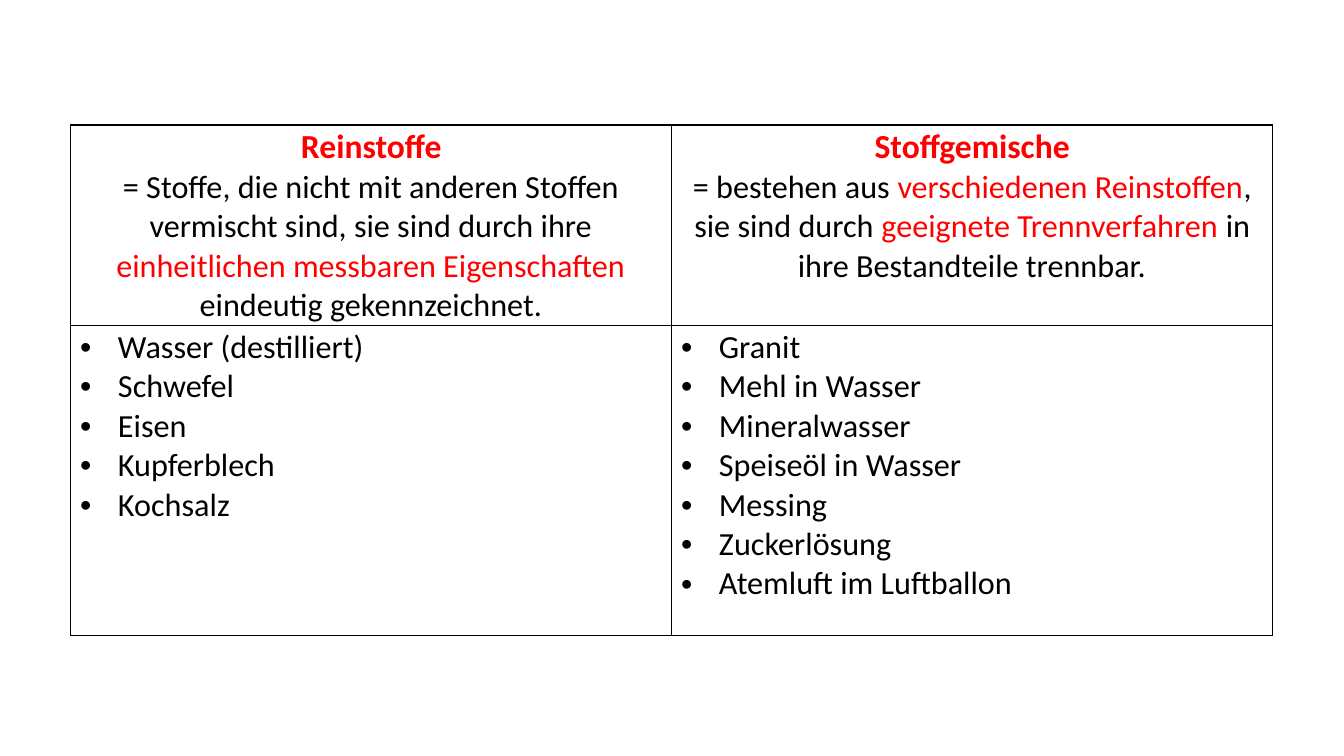
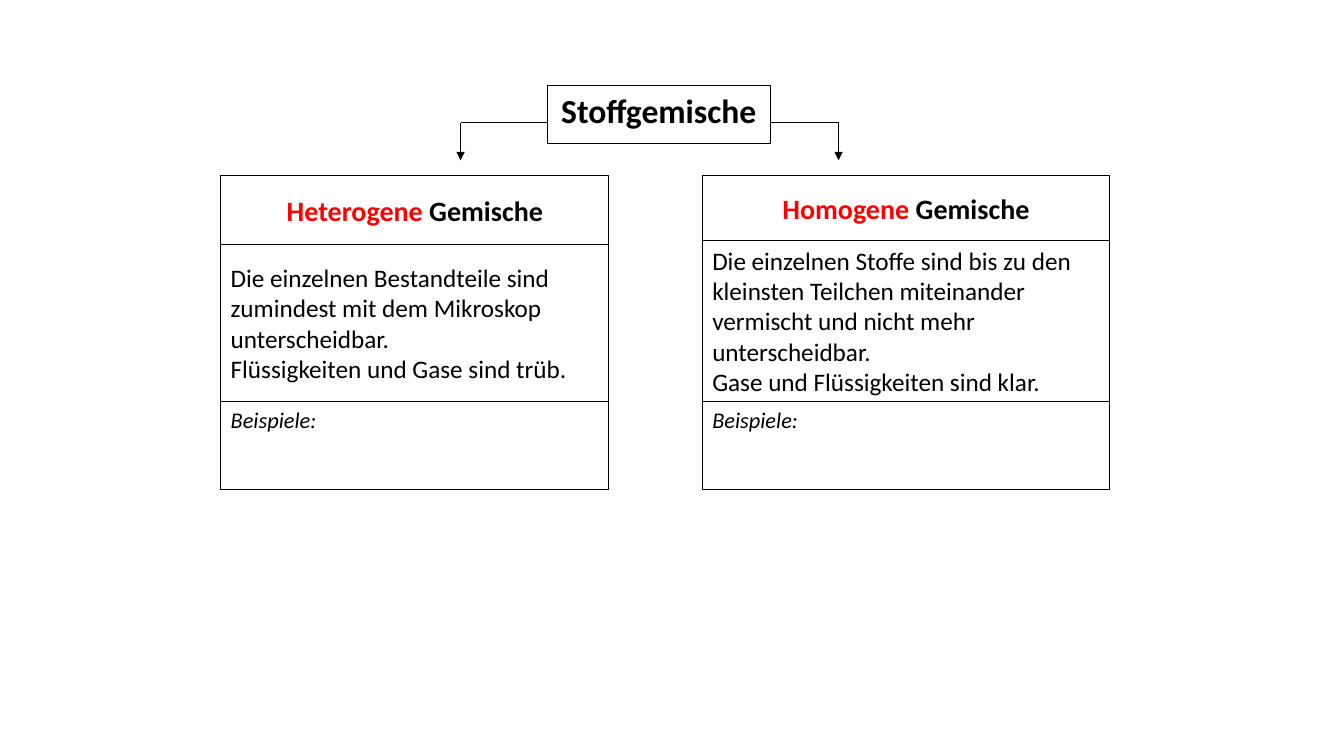
from dataclasses import dataclass

from lxml.etree import SubElement
from pptx import Presentation
from pptx.dml.color import RGBColor
from pptx.enum.shapes import MSO_CONNECTOR, MSO_SHAPE
from pptx.enum.text import MSO_ANCHOR, PP_ALIGN
from pptx.oxml.ns import qn
from pptx.util import Pt


@dataclass(frozen=True)
class Theme:
    font: str = "Calibri"
    ink: RGBColor = RGBColor(0, 0, 0)
    accent: RGBColor = RGBColor(255, 0, 0)
    paper: RGBColor = RGBColor(255, 255, 255)
    title: float = 24
    table_text: float = 23
    heading: float = 20
    body: float = 18
    label: float = 16
    line: float = 0.75
    border: float = 1


THEME = Theme()


def write(para, text, size, bold=False, italic=False, color=THEME.ink, align=PP_ALIGN.LEFT):
    """Fill a paragraph; parts between asterisks take the accent colour."""
    para.alignment = align
    for index, part in enumerate(text.split("*")):
        if part:
            span = para.add_run()
            span.text = part
            span.font.name = THEME.font
            span.font.size = Pt(size)
            span.font.bold = bold
            span.font.italic = italic
            span.font.color.rgb = THEME.accent if index % 2 else color


def add_bullet(para, indent=27):
    properties = para._p.get_or_add_pPr()
    properties.set("marL", str(Pt(indent)))
    properties.set("indent", str(-Pt(indent)))
    SubElement(properties, qn("a:buFont"), typeface="Arial")
    SubElement(properties, qn("a:buChar"), char="•")


def paragraphs(frame, count):
    return [frame.paragraphs[0]] + [frame.add_paragraph() for _ in range(count - 1)]


class Deck:
    def __init__(self, width, height):
        self.file = Presentation()
        self.file.slide_width, self.file.slide_height = Pt(width), Pt(height)
        self.page = None

    def new_page(self):
        self.page = self.file.slides.add_slide(self.file.slide_layouts[6])

    def table(self, left, top, column_widths, row_heights):
        frame = self.page.shapes.add_table(
            len(row_heights), len(column_widths), Pt(left), Pt(top),
            Pt(sum(column_widths)), Pt(sum(row_heights)))
        table = frame.table
        table.first_row = table.horz_banding = False
        for column, width in zip(table.columns, column_widths):
            column.width = Pt(width)
        for row, height in zip(table.rows, row_heights):
            row.height = Pt(height)
        for cell in table.iter_cells():
            self.style_cell(cell)
        return table

    def style_cell(self, cell):
        cell.margin_left = cell.margin_right = Pt(6.75)
        cell.margin_top, cell.margin_bottom = Pt(1.2), Pt(0)
        properties = cell._tc.get_or_add_tcPr()
        for side in ("lnL", "lnR", "lnT", "lnB"):
            border = SubElement(properties, qn(f"a:{side}"), w=str(Pt(THEME.border)))
            fill = SubElement(border, qn("a:solidFill"))
            SubElement(fill, qn("a:srgbClr"), val=str(THEME.ink))
        cell.fill.solid()
        cell.fill.fore_color.rgb = THEME.paper

    def box(self, left, top, width, height, lines, anchor=MSO_ANCHOR.TOP, **text_format):
        box = self.page.shapes.add_shape(
            MSO_SHAPE.RECTANGLE, Pt(left), Pt(top), Pt(width), Pt(height))
        box.shadow.inherit = False
        box.fill.solid()
        box.fill.fore_color.rgb = THEME.paper
        box.line.color.rgb = THEME.ink
        box.line.width = Pt(THEME.line)
        frame = box.text_frame
        frame.word_wrap = True
        frame.vertical_anchor = anchor
        for para, text in zip(paragraphs(frame, len(lines)), lines):
            write(para, text, **text_format)

    def line(self, start, end, arrow=False):
        line = self.page.shapes.add_connector(
            MSO_CONNECTOR.STRAIGHT, *(Pt(value) for value in (*start, *end)))
        line.line.color.rgb = THEME.ink
        line.line.width = Pt(THEME.line)
        if arrow:
            SubElement(line.line._get_or_add_ln(), qn("a:tailEnd"), type="triangle")
        SubElement(line._element.spPr, qn("a:effectLst"))


def add_comparison(deck):
    deck.new_page()
    columns = [
        ("Reinstoffe",
         "= Stoffe, die nicht mit anderen Stoffen vermischt sind, sie sind durch ihre "
         "*einheitlichen messbaren Eigenschaften *eindeutig gekennzeichnet.",
         ["Wasser (destilliert)", "Schwefel", "Eisen", "Kupferblech", "Kochsalz"]),
        ("Stoffgemische",
         "= bestehen aus *verschiedenen Reinstoffen*, sie sind durch "
         "*geeignete Trennverfahren *in ihre Bestandteile trennbar.",
         ["Granit", "Mehl in Wasser", "Mineralwasser", "Speiseöl in Wasser",
          "Messing", "Zuckerlösung", "Atemluft im Luftballon"]),
    ]
    table = deck.table(50.5, 89.3, [429.3] * 2, [140.4, 221.2])
    for index, (name, definition, examples) in enumerate(columns):
        title, text = paragraphs(table.cell(0, index).text_frame, 2)
        write(title, name, THEME.title, bold=True, color=THEME.accent, align=PP_ALIGN.CENTER)
        write(text, definition, THEME.table_text, align=PP_ALIGN.CENTER)
        frame = table.cell(1, index).text_frame
        for para, example in zip(paragraphs(frame, len(examples)), examples):
            add_bullet(para)
            write(para, example, THEME.table_text)


def add_mixture_tree(deck):
    deck.new_page()
    top, examples_top, examples_height = 125.3, 286.5, 63.5
    branch_y, arrow_y = 87.8, 114.5
    # left, width, heading height, branch start, arrow x, heading, definition
    branches = [
        (157.7, 277.3, 49.5, 401, 329, "*Heterogene* Gemische",
         ["Die einzelnen Bestandteile sind zumindest mit dem Mikroskop unterscheidbar.",
          "Flüssigkeiten und Gase sind trüb."]),
        (501.7, 290.9, 46.5, 545, 599, "*Homogene* Gemische",
         ["Die einzelnen Stoffe sind bis zu den kleinsten Teilchen miteinander "
          "vermischt und nicht mehr unterscheidbar.",
          "Gase und Flüssigkeiten sind klar."]),
    ]
    for left, width, height, start_x, arrow_x, heading, definition in branches:
        deck.box(left, top, width, height, [heading], MSO_ANCHOR.MIDDLE,
                 size=THEME.heading, bold=True, align=PP_ALIGN.CENTER)
        deck.box(left, top + height, width, examples_top - top - height, definition,
                 MSO_ANCHOR.MIDDLE, size=THEME.body)
        deck.box(left, examples_top, width, examples_height, ["Beispiele:"],
                 size=THEME.label, italic=True)
        deck.line((start_x, branch_y), (arrow_x, branch_y))
        deck.line((arrow_x, branch_y), (arrow_x, arrow_y), arrow=True)
    deck.box(390.8, 61, 159.6, 41.3, ["Stoffgemische"],
             size=THEME.title, bold=True, align=PP_ALIGN.CENTER)


def main():
    deck = Deck(960, 540)
    add_comparison(deck)
    add_mixture_tree(deck)
    deck.file.save("out.pptx")


if __name__ == "__main__":
    main()
